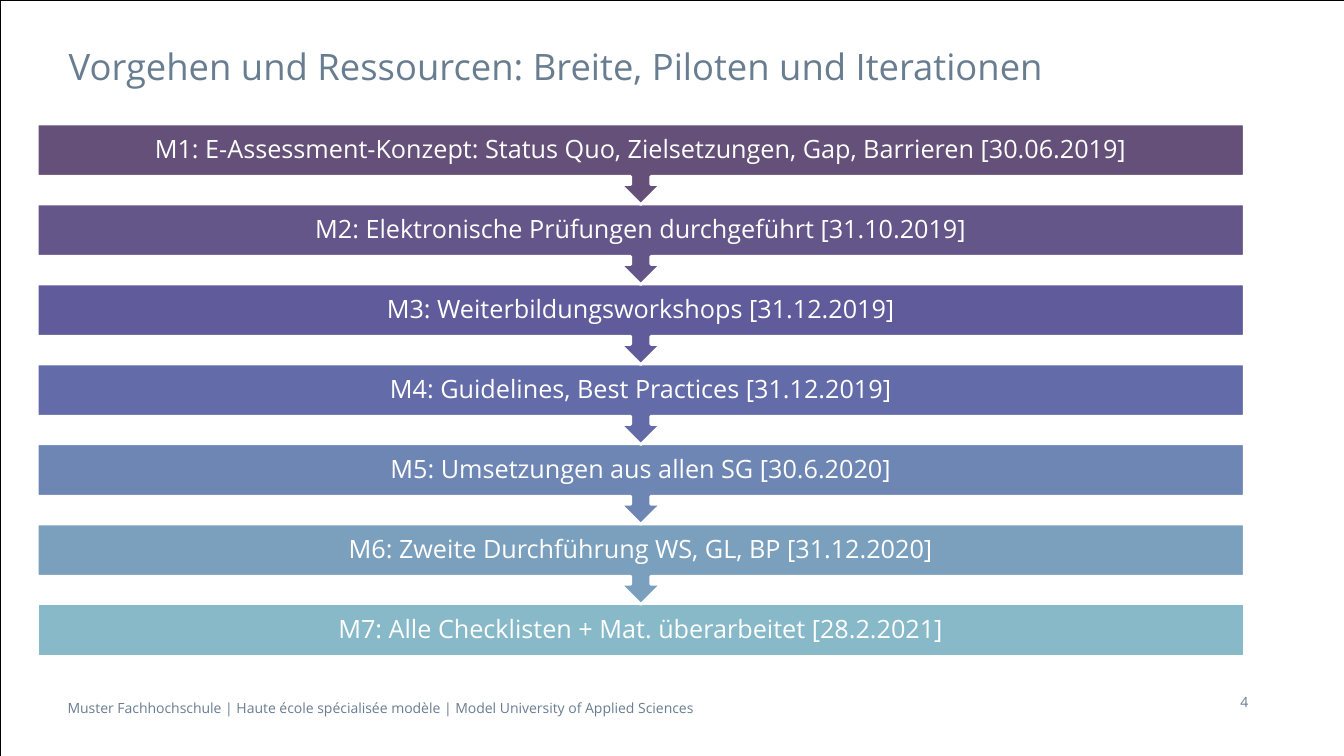
from collections import namedtuple

from pptx import Presentation
from pptx.dml.color import RGBColor
from pptx.enum.shapes import MSO_SHAPE as Preset
from pptx.enum.text import MSO_ANCHOR as Anchor, PP_ALIGN as Align
from pptx.util import Inches, Pt

Box = namedtuple("Box", "left top width height")

WIDTH, HEIGHT = 13.33, 7.5
FONT = "Open Sans"
WHITE = RGBColor(0xFF, 0xFF, 0xFF)
BLACK = RGBColor(0x00, 0x00, 0x00)
SLATE = RGBColor(0x69, 0x7D, 0x91)

PAGE = Box(0, 0, WIDTH, HEIGHT)
TITLE = Box(0.68, 0.39, 11.81, 0.59)
FLOW = Box(0.37, 1.23, 11.97, 5.28)
FOOTER = Box(0.67, 6.89, 9.75, 0.27)
NUMBER = Box(9.86, 6.83, 2.62, 0.4)
BAR_HEIGHT = 0.52

MILESTONES = [
    ("M1: E-Assessment-Konzept: Status Quo, Zielsetzungen, Gap, Barrieren [30.06.2019]",
     RGBColor(0x64, 0x50, 0x78)),
    ("M2: Elektronische Prüfungen durchgeführt [31.10.2019]", RGBColor(0x64, 0x56, 0x89)),
    ("M3: Weiterbildungsworkshops [31.12.2019]", RGBColor(0x60, 0x5B, 0x9A)),
    ("M4: Guidelines, Best Practices [31.12.2019]", RGBColor(0x63, 0x6C, 0xA8)),
    ("M5: Umsetzungen aus allen SG [30.6.2020]", RGBColor(0x6E, 0x86, 0xB4)),
    ("M6: Zweite Durchführung WS, GL, BP [31.12.2020]", RGBColor(0x7A, 0xA0, 0xBE)),
    ("M7: Alle Checklisten + Mat. überarbeitet [28.2.2021]", RGBColor(0x87, 0xB9, 0xC8)),
]


def inches(box):
    return [Inches(length) for length in box]


def add_text(shapes, box, text, size, color, align=Align.LEFT, anchor=Anchor.TOP,
             insets=(0, 0.05), spacing=1.0):
    frame = shapes.add_textbox(*inches(box)).text_frame
    frame.word_wrap = True
    frame.vertical_anchor = anchor
    frame.margin_left = frame.margin_right = Inches(insets[0])
    frame.margin_top = frame.margin_bottom = Inches(insets[1])
    para = frame.paragraphs[0]
    para.alignment = align
    para.line_spacing = spacing
    span = para.add_run()
    span.text = text
    span.font.name = FONT
    span.font.size = Pt(size)
    span.font.color.rgb = color


def add_block(shapes, preset, box, fill, line, line_width):
    block = shapes.add_shape(preset, *inches(box))
    block.shadow.inherit = False
    if fill is None:
        block.fill.background()
    else:
        block.fill.solid()
        block.fill.fore_color.rgb = fill
    block.line.color.rgb = line
    block.line.width = Pt(line_width)
    return block


def add_flow(page, box):
    shapes = page.shapes.add_group_shape().shapes
    last = len(MILESTONES) - 1
    pitch = (box.height - BAR_HEIGHT) / last
    for row, (text, color) in reversed(list(enumerate(MILESTONES))):
        bar = Box(box.left, box.top + row * pitch, box.width, BAR_HEIGHT)
        if row == last:
            add_block(shapes, Preset.RECTANGLE, bar, color, WHITE, 2)
        else:
            callout = add_block(shapes, Preset.UP_ARROW_CALLOUT,
                                bar._replace(height=0.8), color, WHITE, 2)
            callout.rotation = 180
        add_text(shapes, bar, text, 18, WHITE, Align.CENTER, Anchor.MIDDLE,
                 (0.14, 0.14), 0.9)


def add_footer(page, footer, number):
    add_text(page.shapes, footer,
             "Muster Fachhochschule | Haute école spécialisée modèle | "
             "Model University of Applied Sciences", 10, SLATE)
    add_text(page.shapes, number, "4", 10, SLATE, Align.RIGHT, insets=(0.1, 0.05))


def main():
    deck = Presentation()
    deck.slide_width, deck.slide_height = Inches(WIDTH), Inches(HEIGHT)
    page = deck.slides.add_slide(deck.slide_layouts[6])
    add_block(page.shapes, Preset.RECTANGLE, PAGE, None, BLACK, 0.5)
    add_text(page.shapes, TITLE,
             "Vorgehen und Ressourcen: Breite, Piloten und Iterationen", 26, SLATE)
    add_flow(page, FLOW)
    add_footer(page, FOOTER, NUMBER)
    deck.save("out.pptx")


if __name__ == "__main__":
    main()
